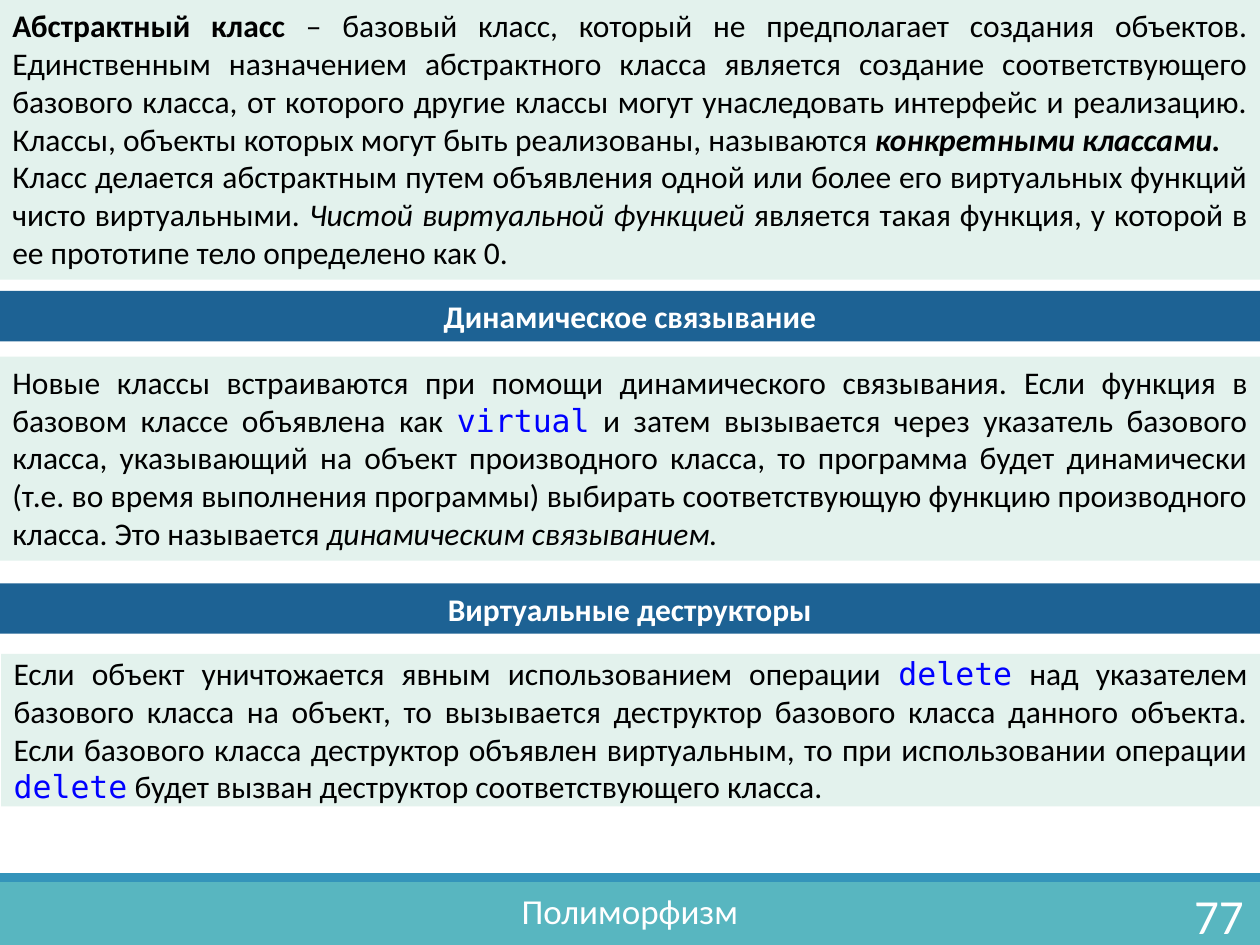
import pptx
import pptx.dml.color
import pptx.enum.shapes
import pptx.enum.text
import pptx.util

Inches = pptx.util.Inches
Align = pptx.enum.text.PP_ALIGN
Anchor = pptx.enum.text.MSO_ANCHOR
AutoSize = pptx.enum.text.MSO_AUTO_SIZE

THEME = {
    "panel": "E3F2ED", "heading": "1D6294", "footer": "58B6C0", "stripe": "3494BA",
    "text": "000000", "light": "FFFFFF", "code": "0000FF",
    "font": "Calibri", "code_font": "DejaVu Sans Mono",
    "body_size": 18, "topic_size": 20, "number_size": 28,
}

STYLES = {
    "plain": {},
    "bold": {"bold": True},
    "italic": {"italic": True},
    "bold italic": {"bold": True, "italic": True},
    "code": {"name": THEME["code_font"], "color": THEME["code"]},
}

ABSTRACT_CLASS = [
    [("Абстрактный класс", "bold"),
     (" – базовый класс, который не предполагает создания объектов. Единственным "
      "назначением абстрактного класса является создание соответствующего базового класса, "
      "от которого другие классы могут унаследовать интерфейс и реализацию. Классы, объекты "
      "которых могут быть реализованы, называются ", "plain"),
     ("конкретными классами.", "bold italic")],
    [("Класс делается абстрактным путем объявления одной или более его виртуальных функций "
      "чисто виртуальными. ", "plain"),
     ("Чистой виртуальной функцией ", "italic"),
     ("является такая функция, у которой в ее прототипе тело определено как 0.", "plain")],
]
DYNAMIC_BINDING = [
    [("Новые классы встраиваются при помощи динамического связывания", "plain"),
     (". ", "italic"),
     ("Если функция в базовом классе объявлена как ", "plain"),
     ("virtual", "code"),
     (" и затем вызывается через указатель базового класса, указывающий на объект "
      "производного класса, то программа будет динамически (т.е. во время выполнения "
      "программы) выбирать соответствующую функцию производного класса. Это называется ",
      "plain"),
     ("динамическим связыванием.", "italic")],
]
VIRTUAL_DESTRUCTORS = [
    [("Если объект уничтожается явным использованием операции ", "plain"),
     ("delete", "code"),
     (" над указателем базового класса на объект, то вызывается деструктор базового класса "
      "данного объекта. Если базового класса деструктор объявлен виртуальным, то при "
      "использовании операции ", "plain"),
     ("delete", "code"),
     (" будет вызван деструктор соответствующего класса.", "plain")],
]

# (left, top, width, height), paragraphs, vertical inset
PANELS = [
    ((0, 0, 10, 2.22), ABSTRACT_CLASS, 0.05),
    ((0, 2.83, 10, 1.62), DYNAMIC_BINDING, 0.05),
    ((0.01, 5.19, 9.99, 1.21), VIRTUAL_DESTRUCTORS, 0),
]
HEADINGS = [
    ((0, 2.31, 10, 0.4), "Динамическое связывание"),
    ((0, 4.63, 10, 0.4), "Виртуальные деструкторы"),
]
FOOTER_BARS = [
    ((0, 7, 10, 0.5), THEME["footer"]),
    ((0, 6.93, 10, 0.07), THEME["stripe"]),
]


def add_bar(slide, box, fill):
    shape = slide.shapes.add_shape(
        pptx.enum.shapes.MSO_SHAPE.RECTANGLE, *map(Inches, box))
    shape.shadow.inherit = False
    shape.fill.solid()
    shape.fill.fore_color.rgb = pptx.dml.color.RGBColor.from_string(fill)
    shape.line.fill.background()
    return shape


def write_text(shape, paragraphs, alignment, size, color, insets=(0.1, 0.05),
               anchor=Anchor.TOP, auto_size=AutoSize.SHAPE_TO_FIT_TEXT):
    """Fill a shape with styled runs; insets are horizontal and vertical, in inches."""
    horizontal, vertical = map(Inches, insets)
    frame = shape.text_frame
    frame_format = {
        "word_wrap": True, "auto_size": auto_size, "vertical_anchor": anchor,
        "margin_left": horizontal, "margin_right": horizontal,
        "margin_top": vertical, "margin_bottom": vertical,
    }
    for name, value in frame_format.items():
        setattr(frame, name, value)
    for index, runs in enumerate(paragraphs):
        paragraph = frame.add_paragraph() if index else frame.paragraphs[0]
        paragraph.alignment = alignment
        for text, style in runs:
            run = paragraph.add_run()
            run.text = text
            font_format = {"name": THEME["font"], "size": pptx.util.Pt(size),
                           "bold": False, "italic": False, "color": color}
            font_format.update(STYLES[style])
            run_color = font_format.pop("color")
            run.font.color.rgb = pptx.dml.color.RGBColor.from_string(run_color)
            for name, value in font_format.items():
                setattr(run.font, name, value)


def main():
    presentation = pptx.Presentation()
    presentation.slide_width = Inches(10)
    presentation.slide_height = Inches(7.5)
    slide = presentation.slides.add_slide(presentation.slide_layouts[6])

    for box, fill in FOOTER_BARS:
        add_bar(slide, box, fill)
    for box, paragraphs, inset in PANELS:
        write_text(add_bar(slide, box, THEME["panel"]), paragraphs, Align.JUSTIFY,
                   THEME["body_size"], THEME["text"], (0.1, inset))
    for box, title in HEADINGS:
        write_text(add_bar(slide, box, THEME["heading"]), [[(title, "bold")]],
                   Align.CENTER, THEME["body_size"], THEME["light"])

    page_number = slide.shapes.add_textbox(*map(Inches, (8.89, 7.06, 1.08, 0.4)))
    write_text(page_number, [[("77", "plain")]], Align.RIGHT, THEME["number_size"],
               THEME["light"], anchor=Anchor.MIDDLE, auto_size=AutoSize.NONE)
    topic = slide.shapes.add_textbox(*map(Inches, (3.11, 7.06, 3.78, 0.34)))
    write_text(topic, [[("Полиморфизм", "plain")]], Align.CENTER, THEME["topic_size"],
               THEME["light"], (0, 0))

    presentation.save("out.pptx")


if __name__ == "__main__":
    main()
